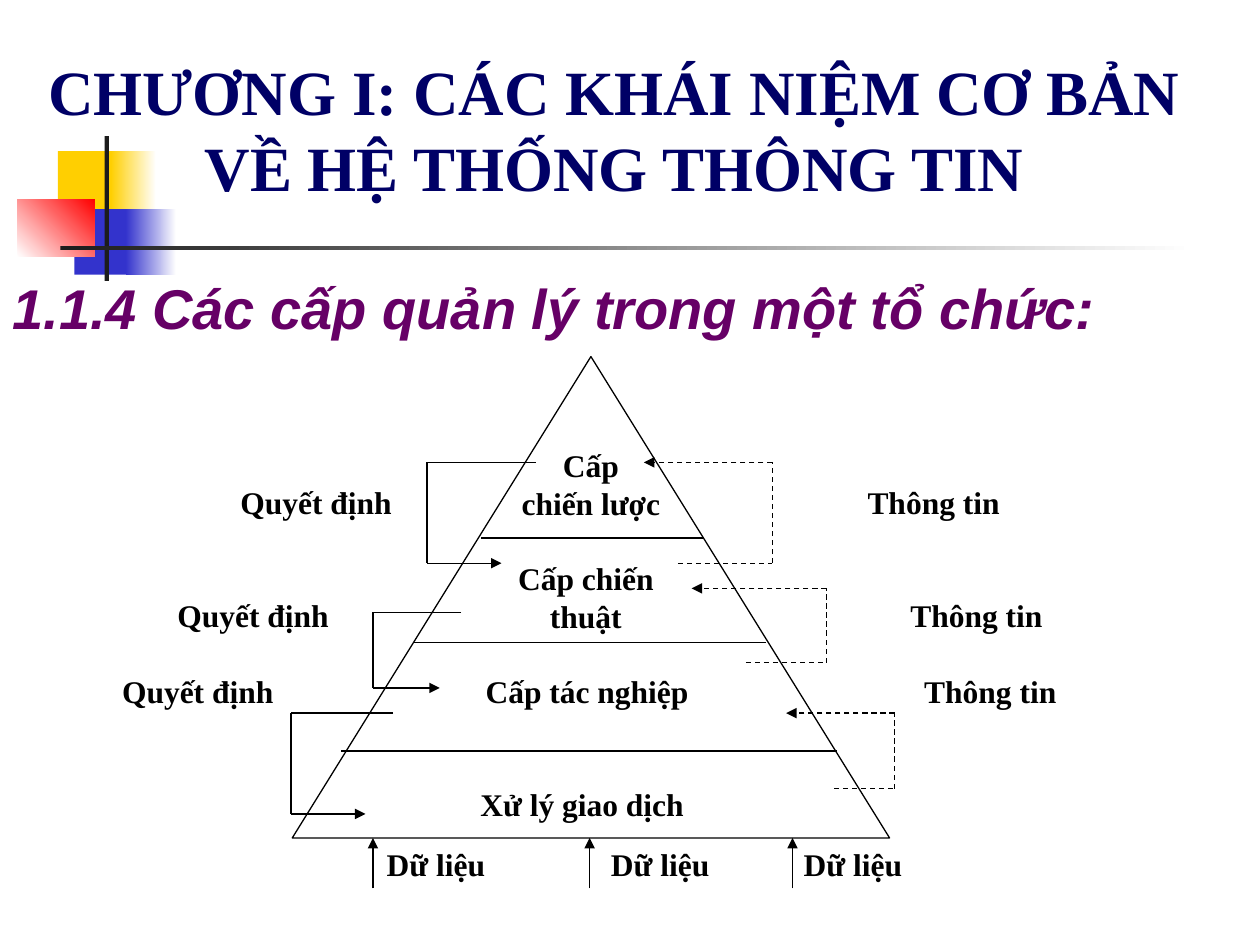
from lxml import etree
from pptx import Presentation
from pptx import util as u
from pptx.dml.color import RGBColor
from pptx.enum import dml, shapes, text
from pptx.oxml.ns import qn

theme = {
    "title": "000066", "heading": "660066", "ink": "000000", "paper": "FFFFFF",
    "yellow": "FFCF01", "blue": "3333CC", "red": "FF0000", "bar": "1C1C1C",
    "serif": "Times New Roman", "sans": "Arial",
    "title_size": 36, "heading_size": 32, "label_size": 18, "line_width": 0.75,
}

presentation = Presentation()
presentation.slide_width, presentation.slide_height = u.Inches(10), u.Inches(7.5)
slide = presentation.slides.add_slide(presentation.slide_layouts[5])
cell = presentation.slide_width // 100  # grid of 100 columns by 75 rows


def write(shape, words, font_name, size, colour, align, anchor, italic=False):
    frame = shape.text_frame
    frame.text = words
    frame.word_wrap = True
    frame.auto_size = text.MSO_AUTO_SIZE.NONE
    frame.vertical_anchor = anchor
    for paragraph in frame.paragraphs:
        paragraph.alignment = align
        for run in paragraph.runs:
            run.font.name, run.font.size = font_name, u.Pt(size)
            run.font.bold, run.font.italic = True, italic
            run.font.color.rgb = RGBColor.from_string(colour)


def add_line(start, end, arrow=False, dashed=False):
    ends = [int(value * cell) for value in (*start, *end)]
    line = slide.shapes.add_connector(shapes.MSO_CONNECTOR.STRAIGHT, *ends)
    line.line.color.rgb = RGBColor.from_string(theme["ink"])
    line.line.width = u.Pt(theme["line_width"])
    if dashed:
        line.line.dash_style = dml.MSO_LINE.DASH
    if arrow:
        etree.SubElement(line.line._get_or_add_ln(), qn("a:tailEnd"), type="triangle")
    etree.SubElement(line._element.spPr, qn("a:effectLst"))


# Corner ornament: left, top, width, height, first colour, last colour, angle
ornament = [
    (4.6, 12, 4.8, 5.2, "yellow", None, 0),
    (8.8, 12, 3.6, 5.2, "yellow", "paper", 0),
    (5.9, 16.6, 4.6, 5.2, "blue", None, 0),
    (10, 16.6, 4, 5.2, "blue", "paper", 0),
    (1.4, 15.8, 6.1, 4.6, "paper", "red", 45),
    (8.3, 10.8, 0.35, 11.5, "bar", None, 0),
    (4.8, 19.5, 90, 0.35, "bar", "paper", 0),
]
for *box, first, last, angle in ornament:
    block = slide.shapes.add_shape(shapes.MSO_SHAPE.RECTANGLE,
                                   *(int(value * cell) for value in box))
    block.shadow.inherit = False
    block.line.fill.background()
    if last is None:
        block.fill.solid()
        block.fill.fore_color.rgb = RGBColor.from_string(theme[first])
    else:
        block.fill.gradient()
        block.fill.gradient_angle = angle
        for stop, position, colour in zip(block.fill.gradient_stops, (0, 1), (first, last)):
            stop.position = position
            stop.color.rgb = RGBColor.from_string(theme[colour])

# Title and section heading
title = slide.shapes.title
title.left, title.top = 0, 0
title.width, title.height = int(97.5 * cell), int(16.7 * cell)
write(title, "CHƯƠNG I: CÁC KHÁI NIỆM CƠ BẢN VỀ HỆ THỐNG THÔNG TIN", theme["serif"],
      theme["title_size"], theme["title"], text.PP_ALIGN.CENTER, text.MSO_ANCHOR.BOTTOM)

heading = slide.shapes.add_textbox(0, int(21.2 * cell), 100 * cell, 7 * cell)
write(heading, "1.1.4 Các cấp quản lý trong một tổ chức:", theme["sans"],
      theme["heading_size"], theme["heading"], text.PP_ALIGN.LEFT,
      text.MSO_ANCHOR.TOP, italic=True)

# Pyramid and its level dividers
pyramid = slide.shapes.add_shape(
    shapes.MSO_SHAPE.ISOSCELES_TRIANGLE,
    *(int(value * cell) for value in (23.2, 28.3, 47.4, 38.2)))
pyramid.shadow.inherit = False
pyramid.fill.solid()
pyramid.fill.fore_color.rgb = RGBColor.from_string(theme["paper"])
pyramid.line.color.rgb = RGBColor.from_string(theme["ink"])
pyramid.line.width = u.Pt(theme["line_width"])
for left, right, row in [(38.2, 55.9, 42.7), (32.8, 60.8, 51), (27.1, 66.4, 59.6)]:
    add_line((left, row), (right, row))

# Labels: centre column, centre row, words
labels = [
    (46.9, 38.4, "Cấp\nchiến lược"),
    (46.5, 47.4, "Cấp chiến\nthuật"),
    (46.6, 54.8, "Cấp tác nghiệp"),
    (46.2, 63.8, "Xử lý giao dịch"),
]
for row, decision, information in [(39.8, 25.1, 74.1), (48.8, 20.1, 77.5), (54.8, 15.7, 78.6)]:
    labels += [(decision, row, "Quyết định"), (information, row, "Thông tin")]
labels += [(column, 68.6, "Dữ liệu") for column in (34.6, 52.4, 67.7)]
label_width, label_height = 20, 6
for column, row, words in labels:
    label = slide.shapes.add_textbox(
        int((column - label_width / 2) * cell), int((row - label_height / 2) * cell),
        label_width * cell, label_height * cell)
    write(label, words, theme["serif"], theme["label_size"], theme["ink"],
          text.PP_ALIGN.CENTER, text.MSO_ANCHOR.MIDDLE)

# Data arrows into the base
for column in (29.6, 46.8, 62.9):
    add_line((column, 70.5), (column, 66.5), arrow=True)

# Elbow arrows: start column, start row, outer column, end row, end column, dashed
elbows = [
    (42.5, 36.7, 33.9, 44.7, 39.8, False),
    (36.6, 48.6, 29.6, 54.6, 34.9, False),
    (31.2, 56.6, 23.1, 64.6, 29, False),
    (53.8, 44.7, 61.3, 36.7, 51.1, True),
    (59.2, 52.6, 65.6, 46.7, 54.9, True),
    (66.2, 62.6, 71, 56.6, 62.4, True),
]
for start, first_row, outer, last_row, end, dashed in elbows:
    add_line((start, first_row), (outer, first_row), dashed=dashed)
    add_line((outer, first_row), (outer, last_row), dashed=dashed)
    add_line((outer, last_row), (end, last_row), arrow=True, dashed=dashed)

presentation.save("out.pptx")
